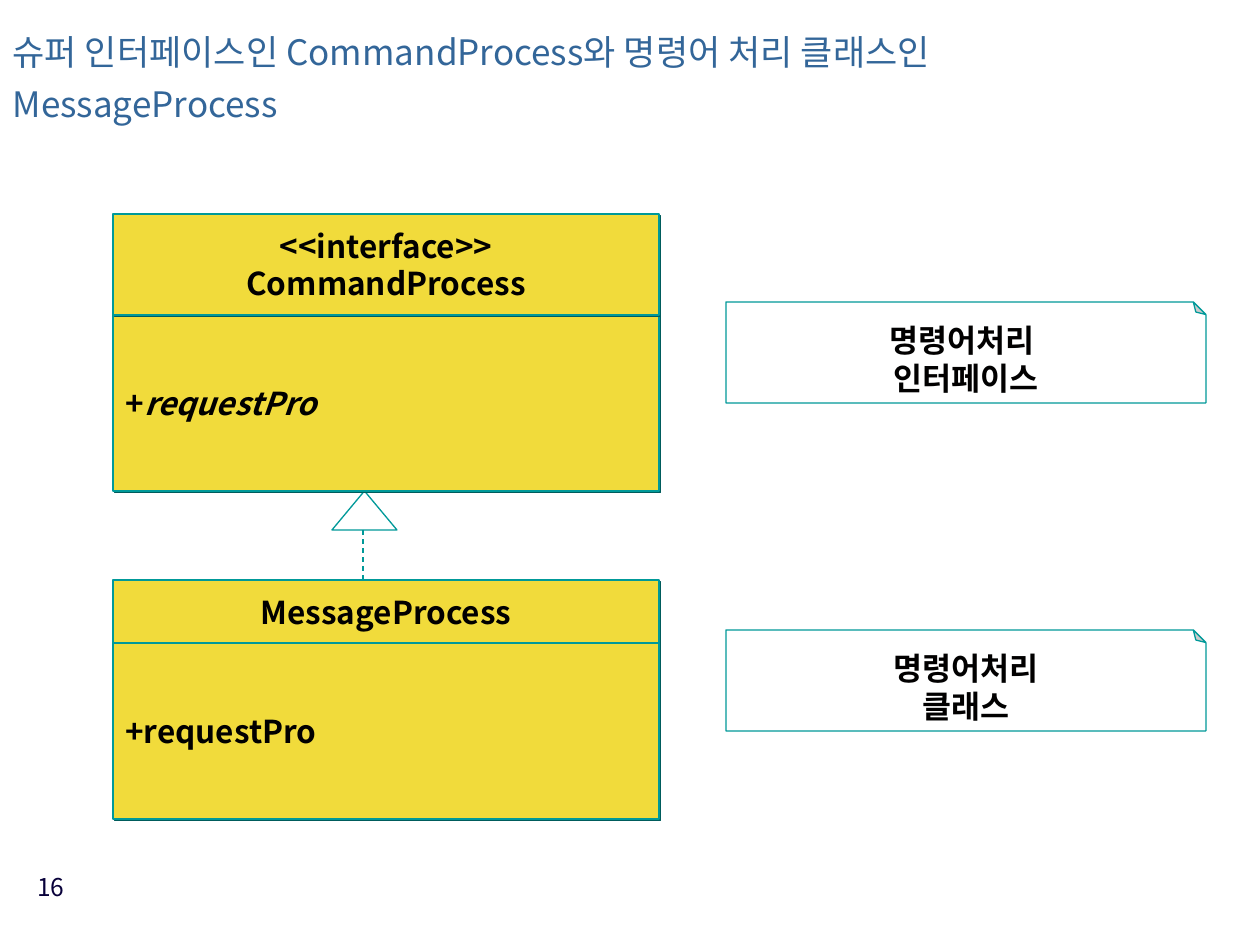
from lxml import etree
from pptx import Presentation
from pptx.dml.color import RGBColor
from pptx.enum.dml import MSO_LINE
from pptx.enum.shapes import MSO_CONNECTOR, MSO_SHAPE
from pptx.enum.text import MSO_ANCHOR, MSO_AUTO_SIZE, PP_ALIGN
from pptx.oxml.ns import qn
from pptx.util import Pt

PX = 914400 / 126
FONT = "Noto Sans CJK KR"
TITLE_BLUE = RGBColor(0x33, 0x66, 0x99)
NUMBER_NAVY = RGBColor(0x08, 0x00, 0x3A)
INK = RGBColor(0x01, 0x00, 0x00)
TEAL = RGBColor(0x00, 0x99, 0x99)
DARK_TEAL = RGBColor(0x00, 0x5C, 0x5C)
YELLOW = RGBColor(0xF1, 0xDB, 0x3B)
WHITE = RGBColor(0xFF, 0xFF, 0xFF)

TITLE = ["슈퍼 인터페이스인 CommandProcess와 명령어 처리 클래스인", "MessageProcess"]
PAGE_NUMBER = "16"

CLASS_LEFT, CLASS_WIDTH = 113, 546
NOTE_LEFT, NOTE_WIDTH, NOTE_HEIGHT = 726, 480, 101
# Compartments from back to front: top, height, alignment, lines
COMPARTMENTS = [
    (315, 176, PP_ALIGN.LEFT, ["+requestPro"]),
    (214, 101, PP_ALIGN.CENTER, ["<<interface>>", "CommandProcess"]),
    (580, 63, PP_ALIGN.CENTER, ["MessageProcess"]),
    (643, 176, PP_ALIGN.LEFT, ["+requestPro"]),
]
NOTES = [
    (302, ["명령어처리 ", "인터페이스"]),
    (630, ["명령어처리", "클래스"]),
]


def px(*lengths):
    return [round(length * PX) for length in lengths]


def format_run(run, size, color, bold=False):
    run.font.size, run.font.bold, run.font.name = Pt(size), bold, FONT
    run.font.color.rgb = color
    etree.SubElement(run.font._element, qn("a:ea"), typeface=FONT)


def write(shape, lines, size, color, align, bold=False):
    frame = shape.text_frame
    frame.word_wrap = True
    frame.auto_size = MSO_AUTO_SIZE.NONE
    frame.text = "\n".join(lines)
    for paragraph in frame.paragraphs:
        paragraph.alignment = align
        for run in paragraph.runs:
            format_run(run, size, color, bold)


def add_outlined(slide, preset, box, fill=None):
    shape = slide.shapes.add_shape(preset, *px(*box))
    shape.shadow.inherit = False
    if fill is None:
        shape.fill.background()
    else:
        shape.fill.solid()
        shape.fill.fore_color.rgb = fill
    shape.line.color.rgb = TEAL
    shape.line.width = Pt(0.75)
    shape.text_frame.vertical_anchor = MSO_ANCHOR.MIDDLE
    return shape


def add_hard_shadow(shape):
    effects = shape._element.spPr.find(qn("a:effectLst"))
    shadow = etree.SubElement(effects, qn("a:outerShdw"), blurRad="0",
                              dist=str(int(Pt(1.4))), dir=str(45 * 60000),
                              algn="ctr", rotWithShape="0")
    etree.SubElement(shadow, qn("a:srgbClr"), val=str(DARK_TEAL))


def add_title(slide):
    title = slide.shapes.title
    title.left, title.top, title.width, title.height = px(0, 26, 1226, 113)
    write(title, TITLE, 20, TITLE_BLUE, PP_ALIGN.LEFT)
    title.text_frame.vertical_anchor = MSO_ANCHOR.MIDDLE
    for paragraph in title.text_frame.paragraphs:
        paragraph.line_spacing = 0.7
        paragraph.space_before = Pt(0)
    title.text_frame.paragraphs[-1].space_before = Pt(13)


def add_inheritance(slide):
    add_outlined(slide, MSO_SHAPE.ISOSCELES_TRIANGLE, (332, 491, 65, 39))
    stem = slide.shapes.add_connector(MSO_CONNECTOR.STRAIGHT,
                                      *px(363, 530, 363, 580))
    stem.line.color.rgb = TEAL
    stem.line.width = Pt(0.75)
    stem.line.dash_style = MSO_LINE.DASH
    etree.SubElement(stem._element.spPr, qn("a:effectLst"))


def add_note(slide, top, lines):
    """Fold the top corner by flipping the shape, and turn its text upright."""
    note = add_outlined(slide, MSO_SHAPE.FOLDED_CORNER,
                        (NOTE_LEFT, top, NOTE_WIDTH, NOTE_HEIGHT), WHITE)
    write(note, lines, 18, INK, PP_ALIGN.CENTER, bold=True)
    properties = note._element.spPr
    fold = properties.find(qn("a:prstGeom")).find(qn("a:avLst"))
    etree.SubElement(fold, qn("a:gd"), name="adj", fmla="val 12500")
    properties.find(qn("a:xfrm")).set("flipV", "1")
    note.text_frame._txBody.find(qn("a:bodyPr")).set("rot", str(180 * 60000))


def main():
    deck = Presentation()
    deck.slide_width, deck.slide_height = px(1260, 945)
    slide = deck.slides.add_slide(deck.slide_layouts[5])

    add_title(slide)
    number = slide.shapes.add_textbox(*px(18, 866, 59, 65))
    write(number, [PAGE_NUMBER], 14, NUMBER_NAVY, PP_ALIGN.RIGHT)
    add_inheritance(slide)

    compartments = []
    for top, height, align, lines in COMPARTMENTS:
        compartment = add_outlined(slide, MSO_SHAPE.RECTANGLE,
                                   (CLASS_LEFT, top, CLASS_WIDTH, height), YELLOW)
        add_hard_shadow(compartment)
        write(compartment, lines, 18, INK, align, bold=True)
        compartments.append(compartment)

    abstract_method = compartments[0].text_frame.paragraphs[0]
    abstract_method.runs[0].text = "+"
    method_name = abstract_method.add_run()
    method_name.text = "requestPro"
    format_run(method_name, 18, INK, bold=True)
    method_name.font.italic = True

    for top, lines in NOTES:
        add_note(slide, top, lines)
    deck.save("out.pptx")


if __name__ == "__main__":
    main()
